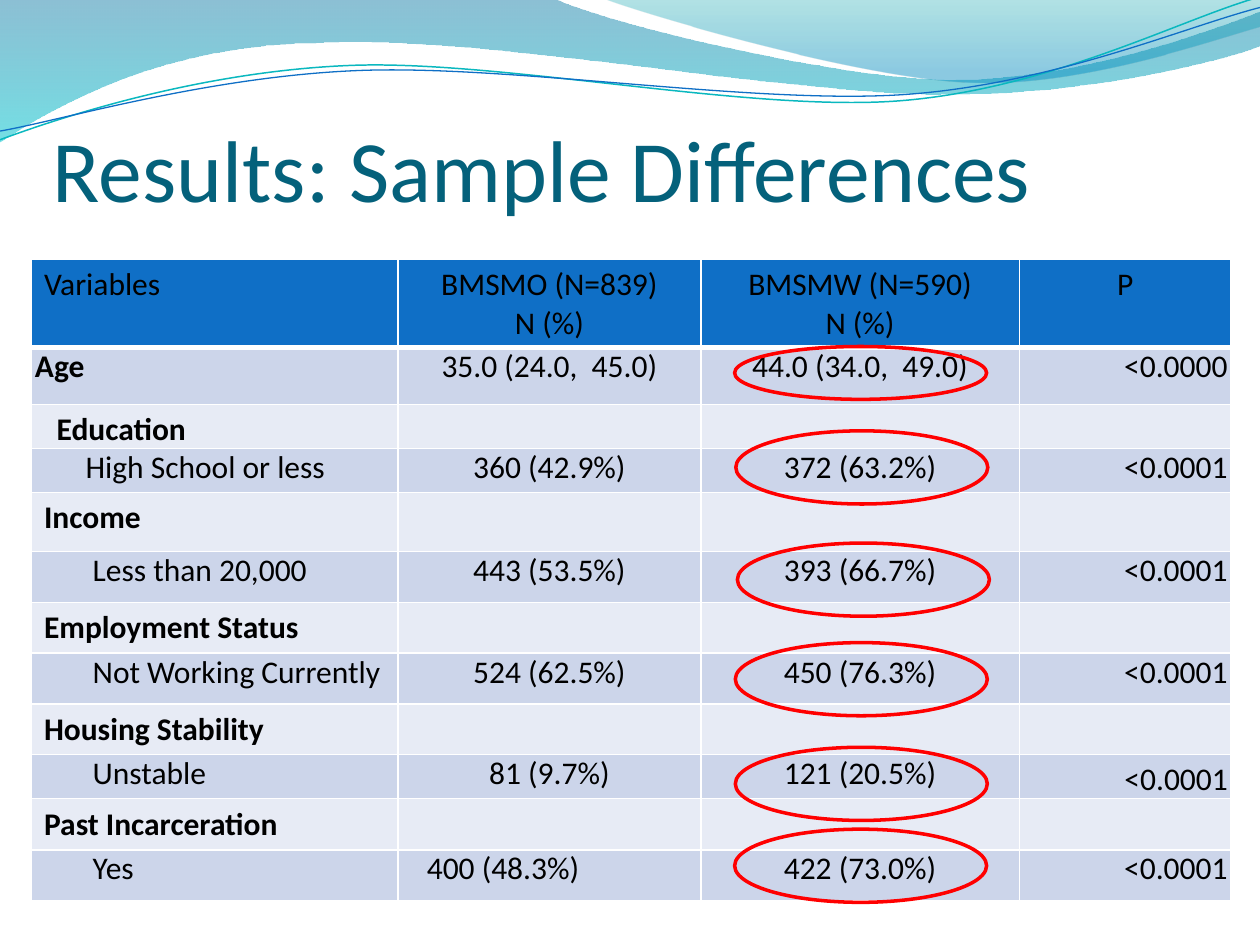
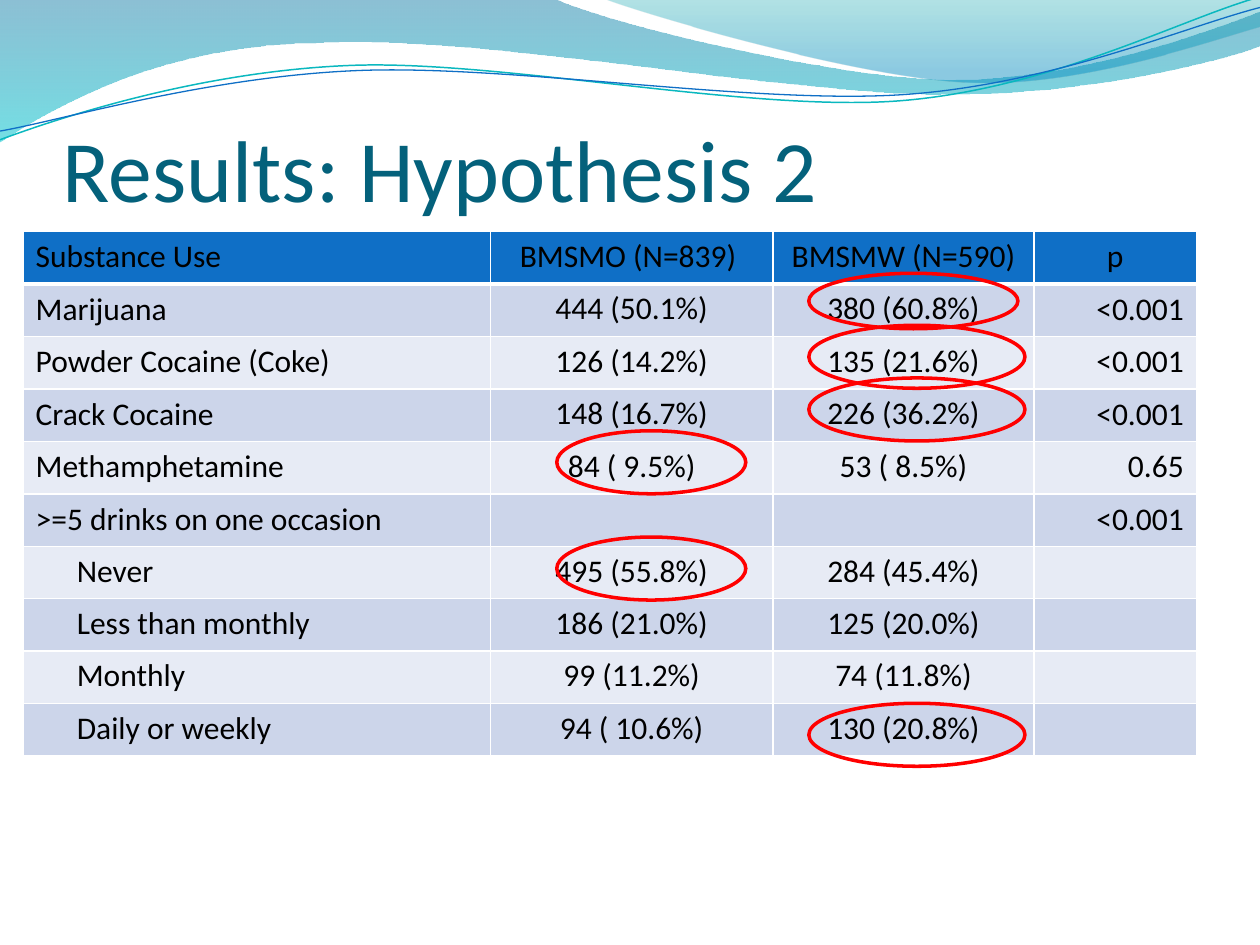
"""Two results slides: wave banner on the master, title, comparison table and red rings."""
from lxml.etree import SubElement
from pptx import Presentation
from pptx.dml.color import RGBColor
from pptx.enum.shapes import MSO_SHAPE as SHAPE
from pptx.enum.text import MSO_ANCHOR as ANCHOR, PP_ALIGN as ALIGN
from pptx.oxml.ns import qn
from pptx.util import Pt

FONT = "Calibri"
WHITE, BLACK, TITLE, HEADER, RING = "FFFFFF", "000000", "04617B", "0F6FC6", "FF0000"
BANDS = ["E7EBF5", "CCD5EA"]

# An outline holds a start, then end points (2 numbers) or cubic curves (6 numbers)
WAVES = [
    {"outline": [(0, -0.7), (316.8, -0.7), (342.7, 12.2, 478.1, 45.4, 545.8, 45.4),
                 (614.2, 45.4, 689.8, 18.7, 720, 6.5), (720.7, 25.9),
                 (707.8, 31.7, 626.4, 54.7, 537.1, 54), (447.8, 54, 275, 20.2, 185, 24.5),
                 (92.9, 25.2, 33.1, 59.8, -0.7, 81.4), (0, -0.7)],
     "gradient": [(0, "0074A1", 45), (1, "00C6CF", 55)]},
    {"outline": [(344.9, -0.7), (366.5, 7.9, 491, 44.6, 553.7, 46.8),
                 (616.3, 49.7, 691.9, 23, 720, 15.1), (720, 0), (344.9, -0.7)],
     "gradient": [(0, "00A1A9", 30), (0.8, "008BBF", 45)]},
    {"outline": [(-1.4, 62.9), (33.8, 51.7, 114.1, 29.4, 199.8, 29.9),
                 (284.9, 30.3, 425.8, 67.3, 512.4, 64.9), (599, 62.4, 676.4, 25.7, 720.2, 15.6)],
     "stroke": ("0AB8BF", 0.85)},
    {"outline": [(-1.1, 57.9), (32.9, 53.7, 118.3, 32.5, 204.1, 33),
                 (290.6, 33.4, 428.9, 63.1, 515.5, 61.4), (601.3, 59.6, 678.4, 30.1, 721.4, 21.3)],
     "stroke": ("0F6FC6", 0.75)},
]

PADDING = {
    "roomy": {"margin_left": Pt(7.2), "margin_right": Pt(7.2),
              "margin_top": Pt(3.6), "margin_bottom": Pt(3.6)},
    "snug": {"margin_left": Pt(2), "margin_right": Pt(2), "margin_top": 0, "margin_bottom": 0},
    "tight": {"margin_left": Pt(1.8), "margin_right": Pt(1.8), "margin_top": 0, "margin_bottom": 0},
}
SPACING = {
    "roomy": {},
    "snug": {"space_before": Pt(2), "space_after": Pt(2)},
    "tight": {"space_before": Pt(1.8), "space_after": Pt(1.8), "line_spacing": 1.15},
}

# Each row: height, (label, value, p) padding, label indent, bold label, texts
HEAD = ("roomy", "roomy", "roomy")
DATA = ("snug", "snug", "snug")
GROUP = ("roomy", "snug", "snug")
USE = ("roomy", "tight", "roomy")
LEVEL = ("tight", "tight", "snug")
SLIDES = [
    {"title": "Results: Sample Differences", "title_left": 30.24, "title_width": 666,
     "corner": (18, 148.2), "columns": [209.5, 173, 182, 121],
     "rows": [
         (50.4, HEAD, 0, False, ["Variables", "BMSMO (N=839)\nN (%)", "BMSMW (N=590)\nN (%)", "P"]),
         (32.4, DATA, 0, True, ["Age", "35.0 (24.0,  45.0)", "44.0 (34.0,  49.0)", "<0.0000"]),
         (25.2, ("tight", "snug", "snug"), 12.6, True, ["Education", "", "", ""]),
         (25.2, DATA, 28.9, False, ["High School or less", "360 (42.9%)", "372 (63.2%)", "<0.0001"]),
         (33.8, GROUP, 0, True, ["Income", "", "", ""]),
         (29, DATA, 33, False, ["Less than 20,000", "443 (53.5%)", "393 (66.7%)", "<0.0001"]),
         (29, GROUP, 0, True, ["Employment Status", "", "", ""]),
         (29, DATA, 33, False, ["Not Working Currently", "524 (62.5%)", "450 (76.3%)", "<0.0001"]),
         (29, GROUP, 0, True, ["Housing Stability", "", "", ""]),
         (25.2, ("snug", "snug", "tight"), 33, False,
          ["Unstable", "81 (9.7%)", "121 (20.5%)", "<0.0001"]),
         (29.2, GROUP, 0, True, ["Past Incarceration", "", "", ""]),
         (29, DATA, 33, False, ["Yes", "400 (48.3%)", "422 (73.0%)", "<0.0001"]),
     ],
     "shifted": {(11, 1): 55},
     "rings": [(419.8, 198, 144, 30.2), (420.5, 246.2, 144, 41.8), (421.4, 310.3, 144, 41.8),
               (420.2, 367.2, 144, 41.8), (420.2, 427, 144, 41.8), (419.8, 473.8, 144, 41.8)]},
    {"title": "Results: Hypothesis 2", "title_left": 36, "title_width": 648,
     "corner": (13.2, 132.2), "columns": [267, 161.5, 149.2, 92.8],
     "rows": [(30, padding, indent, False, texts) for padding, indent, texts in [
         (HEAD, 0, ["Substance Use ", "BMSMO (N=839) ", "BMSMW (N=590)", "p"]),
         (USE, 0, ["Marijuana", "444 (50.1%)", "380 (60.8%)", "<0.001"]),
         (USE, 0, ["Powder Cocaine (Coke)", "126 (14.2%)", "135 (21.6%)", "<0.001"]),
         (USE, 0, ["Crack Cocaine", "148 (16.7%)", "226 (36.2%)", "<0.001"]),
         (USE, 0, ["Methamphetamine", "84 ( 9.5%)", "53 ( 8.5%)", "0.65"]),
         (USE, 0, [">=5 drinks on one occasion", "", "", "<0.001"]),
         (LEVEL, 28.9, ["Never", "495 (55.8%)", "284 (45.4%)", ""]),
         (LEVEL, 28.9, ["Less than monthly", "186 (21.0%)", "125 (20.0%)", ""]),
         (LEVEL, 28.9, ["Monthly", "99 (11.2%)", "74 (11.8%)", ""]),
         (LEVEL, 28.9, ["Daily or weekly", "94 ( 10.6%)", "130 (20.8%)", ""]),
     ]],
     "shifted": {},
     "rings": [(318.2, 246.2, 108, 36), (318.2, 306.9, 108, 36), (462.2, 216, 123.5, 36),
               (462.2, 185.9, 123.5, 36), (462.2, 156.2, 119.5, 31.7), (462.2, 401.9, 123.5, 36)]},
]


def color(value):
    """Turn a hex string into a colour."""
    return RGBColor.from_string(value)


deck = Presentation()
deck.slide_width, deck.slide_height = Pt(720), Pt(540)
pages = [deck.slides.add_slide(deck.slide_layouts[6]) for _ in SLIDES]

for number, band in enumerate(WAVES):
    start, *segments = band["outline"]
    builder = pages[0].shapes.build_freeform(Pt(start[0]), Pt(start[1]))
    builder.add_line_segments([(Pt(x), Pt(y)) for segment in segments
                               for x, y in zip(segment[::2], segment[1::2])],
                              close="gradient" in band)
    wave = builder.convert_to_shape()
    wave.shadow.inherit = False

    trail = next(wave.element.iter(qn("a:path")))
    lines = iter(trail.findall(qn("a:lnTo")))
    for segment in segments:
        pieces = [next(lines) for _ in segment[::2]]
        if len(pieces) == 3:
            curve = SubElement(trail, qn("a:cubicBezTo"))
            pieces[0].addprevious(curve)
            for piece in pieces:
                curve.append(piece.find(qn("a:pt")))
                trail.remove(piece)

    if "gradient" in band:
        wave.line.fill.background()
        wave.fill.gradient()
        wave.fill.gradient_angle = 270
        for stop, (position, tint, _) in zip(wave.fill.gradient_stops, band["gradient"]):
            stop.position = position
            stop.color.rgb = color(tint)
        tints = wave.element.spPr.iter(qn("a:srgbClr"))
        for tint, (_, _, opacity) in zip(tints, band["gradient"]):
            SubElement(tint, qn("a:alpha")).set("val", str(opacity * 1000))
    else:
        stroke, weight = band["stroke"]
        wave.rotation = 357.3
        wave.fill.background()
        wave.line.color.rgb = color(stroke)
        wave.line.width = Pt(weight)

    wave.element.nvSpPr.cNvPr.set("id", str(100 + number))
    deck.slide_master.shapes.element.append(wave.element)

for slide, content in zip(pages, SLIDES):
    heading = slide.shapes.add_textbox(Pt(content["title_left"]), Pt(36),
                                       Pt(content["title_width"]), Pt(90)).text_frame
    frame_format = {"word_wrap": True, "vertical_anchor": ANCHOR.BOTTOM, "margin_left": 0,
                    "margin_right": 0, "margin_top": Pt(3.6), "margin_bottom": 0}
    for name, value in frame_format.items():
        setattr(heading, name, value)
    heading.text = content["title"]
    title_font = heading.paragraphs[0].runs[0].font
    title_font.name, title_font.size = FONT, Pt(50)
    title_font.color.rgb = color(TITLE)

    rows, columns = content["rows"], content["columns"]
    left, top = content["corner"]
    comparison = slide.shapes.add_table(len(rows), len(columns), Pt(left), Pt(top),
                                        Pt(sum(columns)), Pt(sum(row[0] for row in rows))).table
    for column, width in zip(comparison.columns, columns):
        column.width = Pt(width)

    for r, (height, padding, indent, bold, texts) in enumerate(rows):
        comparison.rows[r].height = Pt(height)
        label, figure, p_value = padding
        aligns = [ALIGN.LEFT, ALIGN.CENTER, ALIGN.CENTER, ALIGN.RIGHT if r else ALIGN.CENTER]
        for c, (kind, align, text) in enumerate(zip([label, figure, figure, p_value], aligns, texts)):
            cell = comparison.cell(r, c)
            if not text:
                kind = "snug"
            for name, value in PADDING[kind].items():
                setattr(cell, name, value)
            if (r, c) in content["shifted"]:
                cell.margin_right = Pt(content["shifted"][r, c])
            cell.fill.solid()
            cell.fill.fore_color.rgb = color(BANDS[r % 2] if r else HEADER)
            properties = cell._tc.get_or_add_tcPr()
            for place, side in enumerate(("lnL", "lnR", "lnT", "lnB")):
                thick = r == 0 and side == "lnB"
                border = SubElement(properties, qn("a:" + side), w=str(Pt(3 if thick else 1)))
                paint = SubElement(border, qn("a:solidFill"))
                SubElement(paint, qn("a:srgbClr"), val=WHITE)
                properties.insert(place, border)
            if not text:
                continue
            cell.text = text
            for paragraph in cell.text_frame.paragraphs:
                for name, value in {"alignment": align, **SPACING[kind]}.items():
                    setattr(paragraph, name, value)
                if indent and c == 0:
                    paragraph._p.get_or_add_pPr().set("indent", str(Pt(indent)))
                font = paragraph.runs[0].font
                for name, value in {"name": FONT, "size": Pt(18), "bold": bold and c == 0}.items():
                    setattr(font, name, value)
                font.color.rgb = color(BLACK)

    for ring_box in content["rings"]:
        ring = slide.shapes.add_shape(SHAPE.OVAL, *map(Pt, ring_box))
        ring.shadow.inherit = False
        ring.fill.background()
        ring.line.color.rgb = color(RING)
        ring.line.width = Pt(2)

deck.save("out.pptx")
